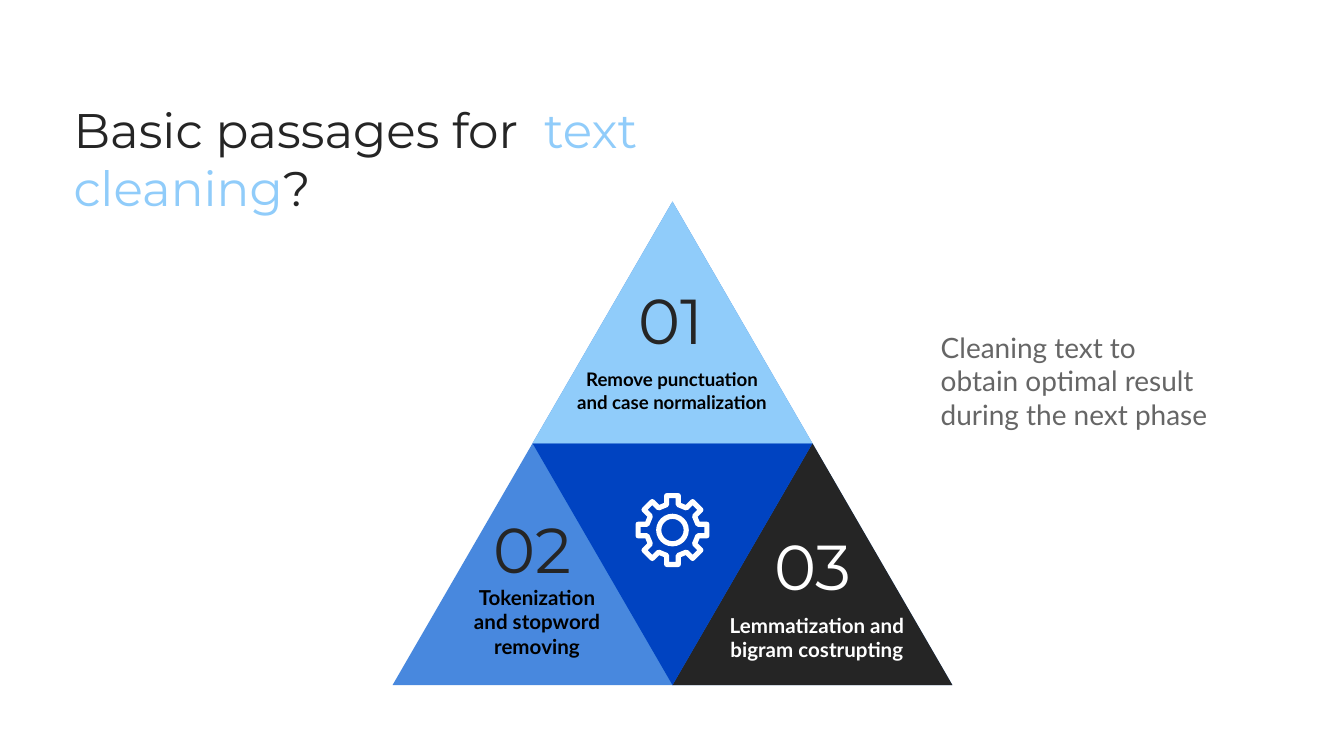
from dataclasses import dataclass
from math import cos, radians, sin

from pptx import Presentation
from pptx.dml.color import RGBColor
from pptx.enum.shapes import MSO_SHAPE as Preset
from pptx.enum.text import MSO_ANCHOR as Anchor, MSO_AUTO_SIZE as AutoSize, PP_ALIGN as Align
from pptx.util import Cm, Pt


@dataclass(frozen=True)
class Theme:
    heading_font: str = "Montserrat"
    body_font: str = "Lato"
    dark: str = "252525"
    light: str = "90CCFA"
    medium: str = "4888DE"
    deep: str = "0043C1"
    grey: str = "666666"
    white: str = "FFFFFF"
    black: str = "000000"
    title_size: float = 26
    number_size: float = 34
    body_size: float = 15
    label_size: float = 11
    small_label_size: float = 10
    icon_line: float = 2.75
    inset: float = 0.25


class SlideBuilder:
    def __init__(self, slide, theme):
        self.slide = slide
        self.theme = theme

    def frame(self, shape, anchor):
        text_frame = shape.text_frame
        text_frame.word_wrap = True
        text_frame.auto_size = AutoSize.NONE
        text_frame.vertical_anchor = anchor
        for side in ("left", "top", "right", "bottom"):
            setattr(text_frame, f"margin_{side}", Cm(self.theme.inset))
        return text_frame

    def title(self, left, top, width, height, parts):
        shape = self.slide.shapes.title
        shape.left, shape.top, shape.width, shape.height = map(Cm, (left, top, width, height))
        paragraph = self.frame(shape, Anchor.BOTTOM).paragraphs[0]
        paragraph.alignment = Align.LEFT
        paragraph.font.name = self.theme.heading_font
        paragraph.font.size = Pt(self.theme.title_size)
        for text, color in parts:
            run = paragraph.add_run()
            run.text = text
            run.font.color.rgb = RGBColor.from_string(color)

    def text(self, left, top, width, height, lines, size, color,
             font=None, bold=False, align=Align.CENTER, anchor=Anchor.TOP):
        box = self.slide.shapes.add_textbox(Cm(left), Cm(top), Cm(width), Cm(height))
        text_frame = self.frame(box, anchor)
        text_frame.text = "\n".join(lines)
        for paragraph in text_frame.paragraphs:
            paragraph.alignment = align
            paragraph.font.name = font or self.theme.body_font
            paragraph.font.size = Pt(size)
            paragraph.font.bold = bold
            paragraph.font.color.rgb = RGBColor.from_string(color)

    def number(self, left, top, text, color):
        self.text(left, top, 2.62, 2.01, [text], self.theme.number_size, color,
                  font=self.theme.heading_font, anchor=Anchor.BOTTOM)

    def label(self, left, top, width, height, lines, size, color):
        self.text(left, top, width, height, lines, size, color, bold=True)

    def triangle(self, left, top, width, height, color, rotation=0):
        shape = self.slide.shapes.add_shape(
            Preset.ISOSCELES_TRIANGLE, Cm(left), Cm(top), Cm(width), Cm(height))
        shape.rotation = rotation
        shape.shadow.inherit = False
        shape.fill.solid()
        shape.fill.fore_color.rgb = RGBColor.from_string(color)
        shape.line.fill.background()

    def outline(self, shape):
        shape.shadow.inherit = False
        shape.fill.background()
        shape.line.color.rgb = RGBColor.from_string(self.theme.white)
        shape.line.width = Pt(self.theme.icon_line)

    def gear(self, center_x, center_y, teeth=8):
        tooth = [(-0.11, 0.48), (-0.11, 0.65), (0.11, 0.65), (0.11, 0.48)]
        points = []
        for index in range(teeth):
            angle = radians(-360 / teeth * index)
            for x, y in tooth:
                points.append((Cm(center_x + x * cos(angle) - y * sin(angle)),
                               Cm(center_y + x * sin(angle) + y * cos(angle))))
        builder = self.slide.shapes.build_freeform(*points[0])
        builder.add_line_segments(points[1:], close=True)
        self.outline(builder.convert_to_shape())

        radius = 0.26
        self.outline(self.slide.shapes.add_shape(
            Preset.OVAL, Cm(center_x - radius), Cm(center_y - radius),
            Cm(2 * radius), Cm(2 * radius)))


def main():
    presentation = Presentation()
    presentation.slide_width, presentation.slide_height = Cm(25.4), Cm(14.29)
    slide = presentation.slides.add_slide(presentation.slide_layouts[5])
    theme = Theme()
    builder = SlideBuilder(slide, theme)

    left, top, width, height = 7.42, 3.81, 10.58, 9.14
    half_width, half_height = width / 2, height / 2
    middle = top + half_height
    builder.triangle(left, top, width, height, theme.medium)
    builder.triangle(left + half_width, middle, half_width, half_height, theme.dark)
    builder.triangle(left + half_width / 2, middle, half_width, half_height, theme.deep, 180)
    builder.triangle(left + half_width / 2, top, half_width, half_height, theme.light)
    builder.gear(12.71, 10.02)

    builder.title(1.14, 1.47, 12.9, 2.87, [
        ("Basic passages for  ", theme.dark),
        ("text cleaning", theme.light),
        ("?", theme.dark),
    ])
    builder.text(17.53, 5.99, 5.64, 1.75,
                 ["Cleaning text to obtain optimal result during the next phase"],
                 theme.body_size, theme.grey, align=Align.LEFT)

    builder.number(11.38, 5, "01", theme.dark)
    builder.number(8.76, 9.32, "02", theme.dark)
    builder.number(14.05, 9.65, "03", theme.white)

    builder.label(10.54, 6.71, 4.32, 1.37, ["Remove punctuation and case normalization"],
                  theme.small_label_size, theme.black)
    builder.label(8.08, 10.8, 4.14, 1.93, ["Tokenization", "and stopword removing"],
                  theme.label_size, theme.black)
    builder.label(13.13, 11.33, 4.62, 1.45, ["Lemmatization and", "bigram costrupting"],
                  theme.label_size, theme.white)

    presentation.save("out.pptx")


if __name__ == "__main__":
    main()
